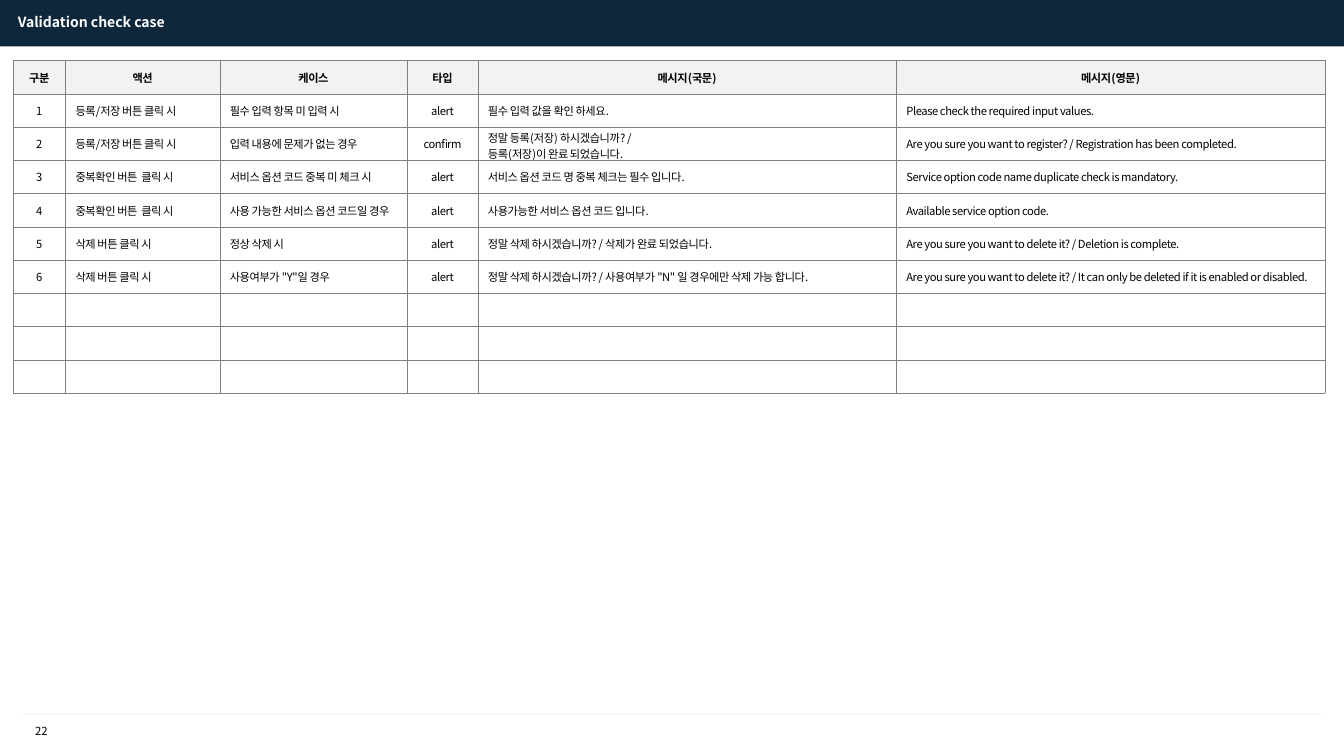
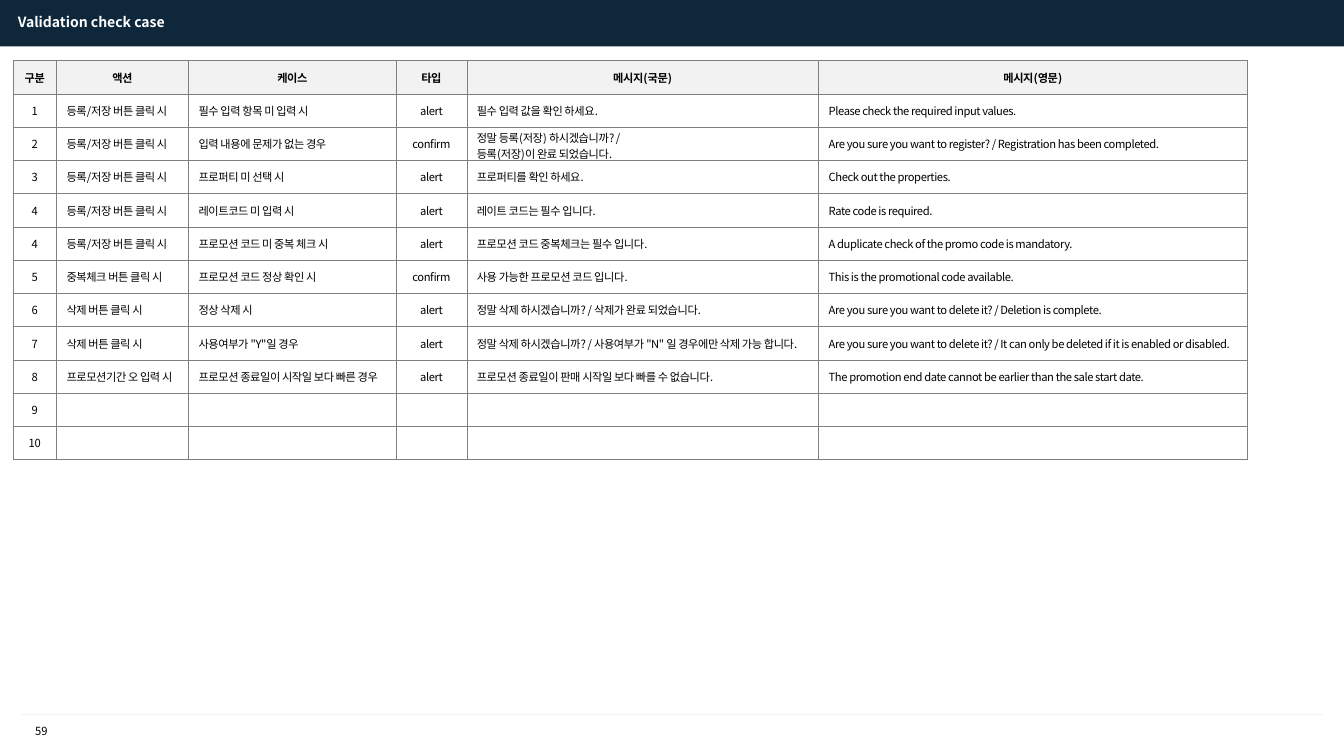
from dataclasses import dataclass

from lxml import etree
from pptx import Presentation
from pptx import util as u
from pptx.dml.color import RGBColor
from pptx.enum import shapes, text
from pptx.oxml.ns import qn


@dataclass(frozen=True)
class Theme:
    font: str = "Noto Sans CJK KR"
    navy: str = "0E273B"
    pale: str = "F2F2F2"
    grid: str = "808080"
    white: str = "FFFFFF"
    black: str = "000000"
    title_pt: int = 10
    body_pt: int = 8
    grid_pt: float = 0.25
    rule_pt: float = 0.75
    tracking: int = -30  # hundredths of a point


T = Theme()
CENTER, LEFT = text.PP_ALIGN.CENTER, text.PP_ALIGN.LEFT
MIDDLE = text.MSO_ANCHOR.MIDDLE
ROW_H = u.Inches(0.33)
CENTERED_COLS = (0, 3)

# Wording shared by the tables
TITLE = "Validation check case"
HEADER = ("구분", "액션", "케이스", "타입", "메시지(국문)", "메시지(영문)")
SAVE = "등록/저장 버튼 클릭 시"
DELETE = "삭제 버튼 클릭 시"
DUPLICATE = "중복확인 버튼  클릭 시"
SAVE_CASES = [
    (SAVE, "필수 입력 항목 미 입력 시", "alert", "필수 입력 값을 확인 하세요.",
     "Please check the required input values."),
    (SAVE, "입력 내용에 문제가 없는 경우", "confirm",
     "정말 등록(저장) 하시겠습니까? /\n등록(저장)이 완료 되었습니다.",
     "Are you sure you want to register? / Registration has been completed."),
]
DELETE_CASES = [
    (DELETE, "정상 삭제 시", "alert",
     "정말 삭제 하시겠습니까? / 삭제가 완료 되었습니다.",
     "Are you sure you want to delete it? / Deletion is complete."),
    (DELETE, "사용여부가 \"Y\"일 경우", "alert",
     "정말 삭제 하시겠습니까? / 사용여부가 \"N\" 일 경우에만 삭제 가능 합니다.",
     "Are you sure you want to delete it? / It can only be deleted if it is "
     "enabled or disabled."),
]
BLANK = ("",) * 5

# Cases of each slide
OPTION_CASES = SAVE_CASES + [
    (DUPLICATE, "서비스 옵션 코드 중복 미 체크 시", "alert",
     "서비스 옵션 코드 명 중복 체크는 필수 입니다.",
     "Service option code name duplicate check is mandatory."),
    (DUPLICATE, "사용 가능한 서비스 옵션 코드일 경우", "alert",
     "사용가능한 서비스 옵션 코드 입니다.", "Available service option code."),
] + DELETE_CASES + [BLANK] * 3
PROMOTION_CASES = SAVE_CASES + [
    (SAVE, "프로퍼티 미 선택 시", "alert", "프로퍼티를 확인 하세요.",
     "Check out the properties."),
    (SAVE, "레이트코드 미 입력 시", "alert", "레이트 코드는 필수 입니다.",
     "Rate code is required."),
    (SAVE, "프로모션 코드 미 중복 체크 시", "alert",
     "프로모션 코드 중복체크는 필수 입니다.",
     "A duplicate check of the promo code is mandatory."),
    ("중복체크 버튼 클릭 시", "프로모션 코드 정상 확인 시", "confirm",
     "사용 가능한 프로모션 코드 입니다.",
     "This is the promotional code available."),
] + DELETE_CASES + [
    ("프로모션기간 오 입력 시", "프로모션 종료일이 시작일 보다 빠른 경우", "alert",
     "프로모션 종료일이 판매 시작일 보다 빠를 수 없습니다.",
     "The promotion end date cannot be earlier than the sale start date."),
] + [BLANK] * 2

# Page number, column widths, row numbers, cases
SLIDES = [
    ("22", (0.52, 1.53, 1.86, 0.7, 4.15, 4.25),
     ("1", "2", "3", "4", "5", "6", "", "", ""), OPTION_CASES),
    ("59", (0.43, 1.31, 2.06, 0.7, 3.49, 4.25),
     ("1", "2", "3", "4", "4", "5", "6", "7", "8", "9", "10"), PROMOTION_CASES),
]


def rgb(color):
    return RGBColor.from_string(color)


def write(tf, content, size, color, bold=False, align=LEFT, tracking=0):
    """Fill a text frame, one paragraph per line, in the theme font."""
    tf.text = content
    for p in tf.paragraphs:
        p.alignment = align
        f = p.font
        f.name, f.size, f.bold = T.font, u.Pt(size), bold
        f.color.rgb = rgb(color)
        if tracking:
            p._p.pPr.find(qn("a:defRPr")).set("spc", str(tracking))
        if not p.runs:  # keeps empty rows at their set height
            etree.SubElement(p._p, qn("a:endParaRPr"), sz=str(size * 100))


def add_label(s, box, content, size, color, wrap=True, **style):
    sp = s.shapes.add_textbox(*map(u.Inches, box))
    tf = sp.text_frame
    tf.word_wrap = wrap
    tf.vertical_anchor = MIDDLE
    write(tf, content, size, color, **style)


def add_frame(s, page):
    """Title band, footer rule and page number."""
    band = s.shapes.add_shape(shapes.MSO_SHAPE.RECTANGLE, 0, 0,
                              u.Inches(13.33), u.Inches(0.46))
    band.shadow.inherit = False
    band.fill.solid()
    band.fill.fore_color.rgb = rgb(T.navy)
    band.line.fill.background()

    rule = s.shapes.add_connector(
        shapes.MSO_CONNECTOR.STRAIGHT,
        *map(u.Inches, (0.21, 7.09, 13.12, 7.09)))
    rule.line.color.rgb = rgb(T.pale)
    rule.line.width = u.Pt(T.rule_pt)
    etree.SubElement(rule._element.spPr, qn("a:effectLst"))

    add_label(s, (0.17, 7.13, 0.48, 0.24), page, T.body_pt, T.black,
              wrap=False, align=CENTER)
    add_label(s, (0.08, 0.08, 3.44, 0.27), TITLE, T.title_pt, T.white, bold=True)


def add_borders(cell):
    tcPr = cell._tc.get_or_add_tcPr()
    for side in ("lnL", "lnR", "lnT", "lnB"):
        ln = etree.SubElement(tcPr, qn(f"a:{side}"), w=str(u.Pt(T.grid_pt)))
        fill = etree.SubElement(ln, qn("a:solidFill"))
        etree.SubElement(fill, qn("a:srgbClr"), val=T.grid)


def style_cell(cell, content, header, centered):
    add_borders(cell)
    cell.fill.solid()
    cell.fill.fore_color.rgb = rgb(T.pale if header else T.white)
    cell.vertical_anchor = MIDDLE
    cell.margin_top = cell.margin_bottom = u.Inches(0.02)
    write(cell.text_frame, content, T.body_pt, T.black, bold=header,
          align=CENTER if centered else LEFT, tracking=T.tracking)


def add_case_table(s, widths, rows):
    frame = s.shapes.add_table(len(rows), len(widths), u.Inches(0.13),
                               u.Inches(0.6), u.Inches(sum(widths)),
                               ROW_H * len(rows))
    table = frame.table
    table.first_row = table.horz_banding = False
    for column, width in zip(table.columns, widths):
        column.width = u.Inches(width)
    for r, row in enumerate(rows):
        table.rows[r].height = ROW_H
        for c, content in enumerate(row):
            header = r == 0
            style_cell(table.cell(r, c), content, header,
                       header or c in CENTERED_COLS)


def main():
    prs = Presentation()
    prs.slide_width, prs.slide_height = u.Inches(13.33), u.Inches(7.5)
    for page, widths, numbers, cases in SLIDES:
        s = prs.slides.add_slide(prs.slide_layouts[6])
        add_frame(s, page)
        rows = [HEADER] + [(n, *case) for n, case in zip(numbers, cases)]
        add_case_table(s, widths, rows)
    prs.save("out.pptx")


if __name__ == "__main__":
    main()
